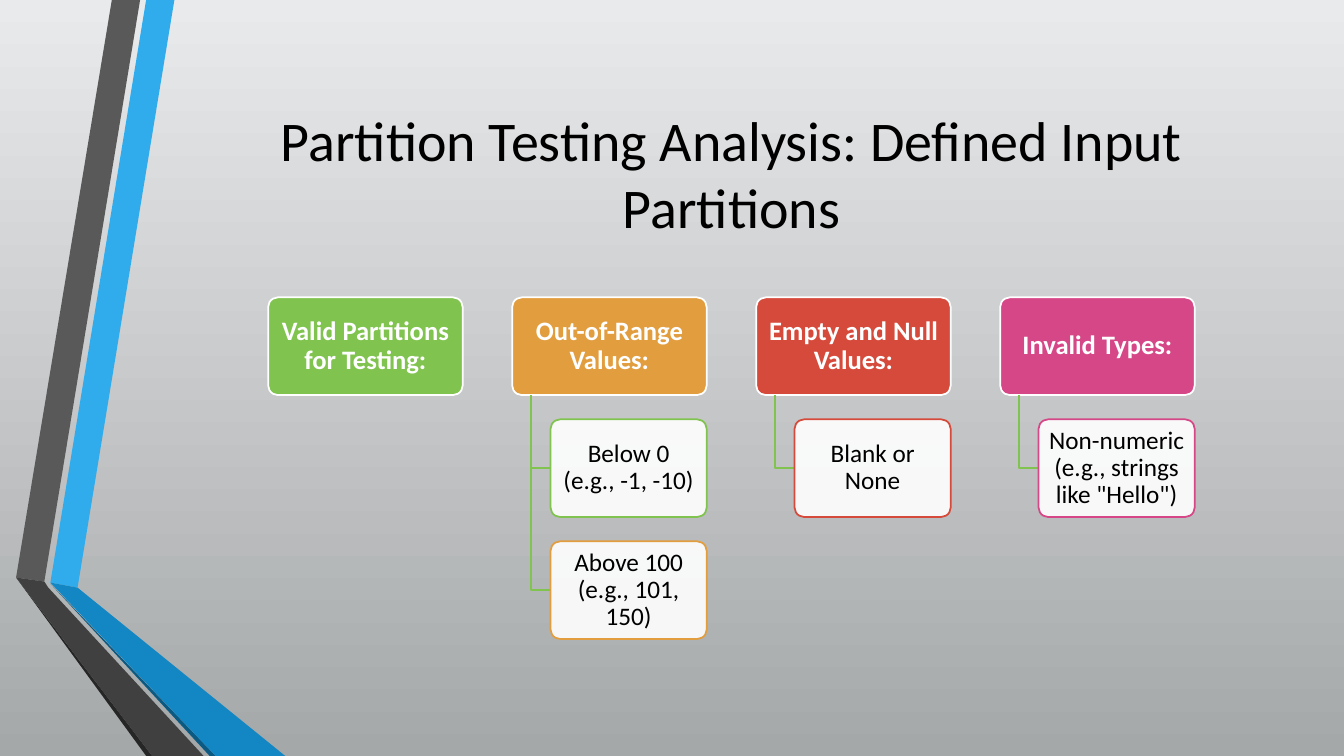
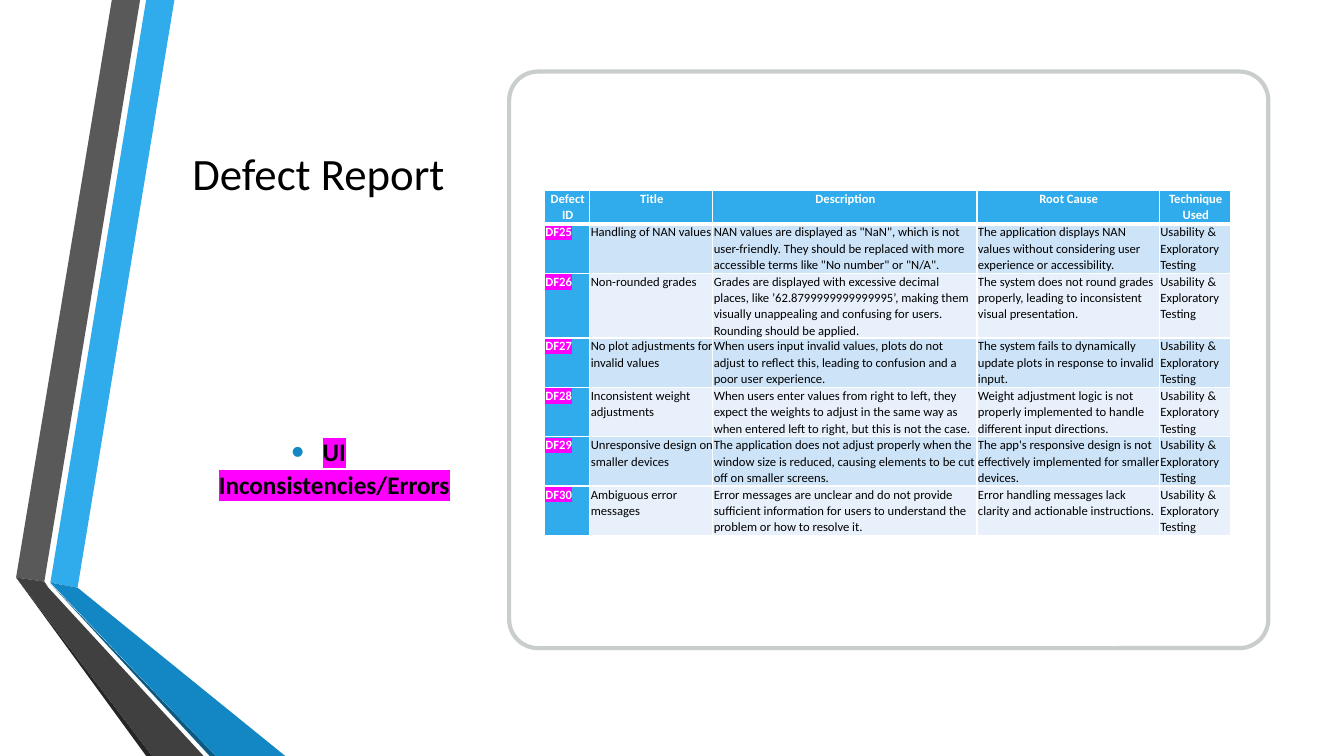
from dataclasses import dataclass

from lxml.etree import SubElement
from pptx import Presentation
from pptx.dml.color import RGBColor
from pptx.enum.shapes import MSO_SHAPE
from pptx.enum.text import MSO_ANCHOR, MSO_AUTO_SIZE, PP_ALIGN
from pptx.oxml.ns import qn
from pptx.presentation import Presentation as Deck
from pptx.shapes.autoshape import Shape
from pptx.slide import Slide
from pptx.table import _Cell as Cell
from pptx.text.text import _Paragraph as Paragraph
from pptx.util import Inches, Pt

Point = tuple[float, float]
Box = tuple[float, float, float, float]


@dataclass(frozen=True)
class Theme:
    font: str = "Calibri"
    black: str = "000000"
    white: str = "FFFFFF"
    blue: str = "30ACEC"
    mid_blue: str = "1287C3"
    deep_blue: str = "0C5A82"
    grey: str = "595959"
    dark_grey: str = "404040"
    near_black: str = "262626"
    green: str = "80C34F"
    orange: str = "E29D3E"
    red: str = "D64A3B"
    pink: str = "D64787"
    frame: str = "979D9F"
    magenta: str = "FF00FF"
    row_dark: str = "CDE3F8"
    row_light: str = "E8F1FB"
    back_top: str = "E9EAEB"
    back_bottom: str = "A5A8A9"
    title: int = 40
    side_title: int = 32
    heading: int = 19
    body: int = 18
    table: int = 9


@dataclass(frozen=True)
class Band:
    color: str
    points: tuple[Point, ...]


@dataclass(frozen=True)
class Example:
    text: str
    color: str


@dataclass(frozen=True)
class Partition:
    heading: str
    color: str
    examples: tuple[Example, ...] = ()


@dataclass(frozen=True)
class Defect:
    id: str
    title: str
    description: str
    cause: str
    technique: str = "Usability & Exploratory Testing"

    def cells(self) -> tuple[str, ...]:
        return self.id, self.title, self.description, self.cause, self.technique


T = Theme()

BANDS = (
    Band(T.blue, ((0.5, 5.78), (0.77, 5.83), (1.73, 0), (1.45, 0))),
    Band(T.grey, ((1.39, 0), (1.11, 0), (0.16, 5.73), (0.44, 5.77))),
    Band(T.near_black, ((0.16, 5.73), (1.45, 7.5), (1.51, 7.5))),
    Band(T.deep_blue, ((0.5, 5.79), (2.08, 7.5), (2.14, 7.5))),
    Band(T.mid_blue, ((0.5, 5.78), (2.14, 7.5), (2.83, 7.5), (0.77, 5.83))),
    Band(T.dark_grey, ((2.02, 7.5), (0.48, 5.83), (0.44, 5.77), (0.16, 5.73), (1.51, 7.5))),
)

PARTITIONS = (
    Partition("Valid Partitions for Testing:", T.green),
    Partition("Out-of-Range Values:", T.orange, (
        Example("Below 0 (e.g., -1, -10)", T.green),
        Example("Above 100 (e.g., 101, 150)", T.orange),
    )),
    Partition("Empty and Null Values:", T.red, (Example("Blank or None", T.red),)),
    Partition("Invalid Types:", T.pink, (
        Example('Non-numeric (e.g., strings like "Hello")', T.pink),
    )),
)

HEADERS = ("Defect ID", "Title", "Description", "Root Cause", "Technique Used")
COL_WIDTHS = (0.45, 1.22, 2.62, 1.81, 0.71)
ROW_HEIGHTS = (0.33, 0.49, 0.64, 0.49, 0.49, 0.49, 0.49)
DEFECTS = (
    Defect("DF25", "Handling of NAN values",
           'NAN values are displayed as "NaN", which is not user-friendly. They should be '
           'replaced with more accessible terms like "No number" or "N/A".',
           "The application displays NAN values without considering user experience or "
           "accessibility."),
    Defect("DF26", "Non-rounded grades",
           "Grades are displayed with excessive decimal places, like ’62.8799999999999995’, "
           "making them visually unappealing and confusing for users. Rounding should be applied.",
           "The system does not round grades properly, leading to inconsistent visual "
           "presentation."),
    Defect("DF27", "No plot adjustments for invalid values",
           "When users input invalid values, plots do not adjust to reflect this, leading to "
           "confusion and a poor user experience.",
           "The system fails to dynamically update plots in response to invalid input."),
    Defect("DF28", "Inconsistent weight adjustments",
           "When users enter values from right to left, they expect the weights to adjust in "
           "the same way as when entered left to right, but this is not the case.",
           "Weight adjustment logic is not properly implemented to handle different input "
           "directions."),
    Defect("DF29", "Unresponsive design on smaller devices",
           "The application does not adjust properly when the window size is reduced, causing "
           "elements to be cut off on smaller screens.",
           "The app's responsive design is not effectively implemented for smaller devices."),
    Defect("DF30", "Ambiguous error messages",
           "Error messages are unclear and do not provide sufficient information for users to "
           "understand the problem or how to resolve it.",
           "Error handling messages lack clarity and actionable instructions."),
)


def rgb(color: str) -> RGBColor:
    return RGBColor.from_string(color)


def style(p: Paragraph, size: int, color: str, bold: bool = False,
          align: PP_ALIGN = PP_ALIGN.CENTER, highlight: str = "") -> None:
    p.alignment = align
    for r in p.runs:
        r.font.name, r.font.size, r.font.bold = T.font, Pt(size), bold
        r.font.color.rgb = rgb(color)
        if highlight:
            mark = SubElement(r.font._element, qn("a:highlight"))
            SubElement(mark, qn("a:srgbClr"), val=highlight)
            r.font._element.find(qn("a:solidFill")).addnext(mark)


def set_alpha(fill_name: str, shape: Shape, percent: int) -> None:
    color = next(shape.element.spPr.find(qn(fill_name)).iter(qn("a:srgbClr")))
    SubElement(color, qn("a:alpha"), val=str(percent * 1000))


def add_outline(s: Slide, points: tuple[Point, ...], close: bool) -> Shape:
    start, *rest = [(Inches(x), Inches(y)) for x, y in points]
    builder = s.shapes.build_freeform(*start)
    builder.add_line_segments(rest, close=close)
    sp = builder.convert_to_shape()
    sp.shadow.inherit = False
    return sp


def add_round_box(s: Slide, box: Box, fill: str, line: str, width: float,
                  radius: float = 0.1) -> Shape:
    sp = s.shapes.add_shape(MSO_SHAPE.ROUNDED_RECTANGLE, *map(Inches, box))
    sp.shadow.inherit = False
    sp.adjustments[0] = radius
    sp.fill.solid()
    sp.fill.fore_color.rgb = rgb(fill)
    sp.line.color.rgb = rgb(line)
    sp.line.width = Pt(width)
    return sp


def add_label(sp: Shape, text: str, size: int, color: str, bold: bool = False) -> None:
    tf = sp.text_frame
    tf.word_wrap = True
    tf.vertical_anchor = MSO_ANCHOR.MIDDLE
    tf.margin_left = tf.margin_right = Inches(0.07)
    tf.margin_top = tf.margin_bottom = Inches(0.06)
    tf.text = text
    tf.paragraphs[0].line_spacing = 0.9
    style(tf.paragraphs[0], size, color, bold)


def new_slide(prs: Deck, title: str, box: Box, size: int) -> Slide:
    s = prs.slides.add_slide(prs.slide_layouts[5])
    for band in BANDS:
        sp = add_outline(s, band.points, close=True)
        sp.fill.solid()
        sp.fill.fore_color.rgb = rgb(band.color)
        sp.line.fill.background()
    sp = s.shapes.title
    sp.left, sp.top, sp.width, sp.height = map(Inches, box)
    tf = sp.text_frame
    tf.text = title
    tf.word_wrap = True
    tf.auto_size = MSO_AUTO_SIZE.NONE
    tf.vertical_anchor = MSO_ANCHOR.MIDDLE
    style(tf.paragraphs[0], size, T.black)
    return s


def add_partition(s: Slide, part: Partition, left: float) -> None:
    top, width, height, step = 2.95, 1.93, 0.97, 1.21
    indent, stem = 0.38, 0.19
    head = add_round_box(s, (left, top, width, height), part.color, T.white, 1.25)
    add_label(head, part.heading, T.heading, T.white, bold=True)
    for i, example in enumerate(part.examples, start=1):
        y = top + i * step
        middle = y + height / 2
        link = add_outline(s, ((left + stem, top + height), (left + stem, middle),
                               (left + indent, middle)), close=False)
        link.fill.background()
        link.line.color.rgb = rgb(T.green)
        link.line.width = Pt(1.25)
        sp = add_round_box(s, (left + indent, y, width - indent, height),
                           T.white, example.color, 1.25)
        set_alpha("a:solidFill", sp, 90)
        add_label(sp, example.text, T.body, T.black)


def partitions_slide(prs: Deck) -> None:
    s = new_slide(prs, "Partition Testing Analysis: Defined Input Partitions",
                  (1.93, 0.75, 10.65, 1.92), T.title)
    fill = s.background.fill
    fill.gradient()
    fill.gradient_angle = 270
    for stop, color in zip(fill.gradient_stops, (T.back_top, T.back_bottom)):
        stop.color.rgb = rgb(color)
    for i, part in enumerate(PARTITIONS):
        add_partition(s, part, 2.66 + i * 2.42)


def add_bullet(s: Slide, text: str, box: Box) -> None:
    tf = s.shapes.add_textbox(*map(Inches, box)).text_frame
    tf.word_wrap = True
    tf.vertical_anchor = MSO_ANCHOR.MIDDLE
    tf.text = text
    p = tf.paragraphs[0]
    p.line_spacing = 1.07
    p.space_after = Pt(8)
    pPr = p._p.get_or_add_pPr()
    pPr.set("marL", str(Inches(0.31)))
    pPr.set("indent", str(-Inches(0.31)))
    SubElement(SubElement(pPr, qn("a:buClr")), qn("a:srgbClr"), val=T.mid_blue)
    SubElement(pPr, qn("a:buSzPct"), val="145000")
    SubElement(pPr, qn("a:buFont"), typeface="Arial")
    SubElement(pPr, qn("a:buChar"), char="•")
    style(p, T.body, T.black, bold=True, highlight=T.magenta)


def format_cell(cell: Cell, row: int, col: int, text: str) -> None:
    tcPr = cell._tc.get_or_add_tcPr()
    for side in "LRTB":
        thick = (row, side) in ((0, "B"), (1, "T"))
        ln = SubElement(tcPr, qn(f"a:ln{side}"), w=str(Pt(3 if thick else 1)))
        SubElement(SubElement(ln, qn("a:solidFill")), qn("a:srgbClr"), val=T.white)
    accent = row == 0 or col == 0
    cell.fill.solid()
    cell.fill.fore_color.rgb = rgb(T.blue if accent else T.row_dark if row % 2 else T.row_light)
    cell.margin_left = Inches(0.01)
    cell.margin_right = cell.margin_top = cell.margin_bottom = 0
    cell.text = text
    p = cell.text_frame.paragraphs[0]
    p.line_spacing = 1.07
    style(p, T.table, T.white if accent else T.black, accent,
          PP_ALIGN.LEFT if row else PP_ALIGN.CENTER, T.magenta if row and not col else "")


def add_defect_table(s: Slide, left: float, top: float) -> None:
    rows = (HEADERS, *(defect.cells() for defect in DEFECTS))
    table = s.shapes.add_table(len(rows), len(HEADERS), Inches(left), Inches(top),
                               Inches(sum(COL_WIDTHS)), Inches(sum(ROW_HEIGHTS))).table
    table.horz_banding = False
    for column, width in zip(table.columns, COL_WIDTHS):
        column.width = Inches(width)
    for i, (texts, height) in enumerate(zip(rows, ROW_HEIGHTS)):
        table.rows[i].height = Inches(height)
        for j, text in enumerate(texts):
            format_cell(table.cell(i, j), i, j, text)


def defects_slide(prs: Deck) -> None:
    s = new_slide(prs, "Defect Report", (1.62, 0.75, 3.08, 1.92), T.side_title)
    add_bullet(s, "UI Inconsistencies/Errors", (1.62, 2.92, 3.08, 3.42))
    panel = add_round_box(s, (5.05, 0.71, 7.53, 5.72), T.white, T.frame, 3, radius=0.05)
    set_alpha("a:ln", panel, 50)
    add_defect_table(s, 5.4, 1.89)


def main() -> None:
    prs = Presentation()
    prs.slide_width, prs.slide_height = Inches(13.33), Inches(7.5)
    partitions_slide(prs)
    defects_slide(prs)
    prs.save("out.pptx")


if __name__ == "__main__":
    main()
